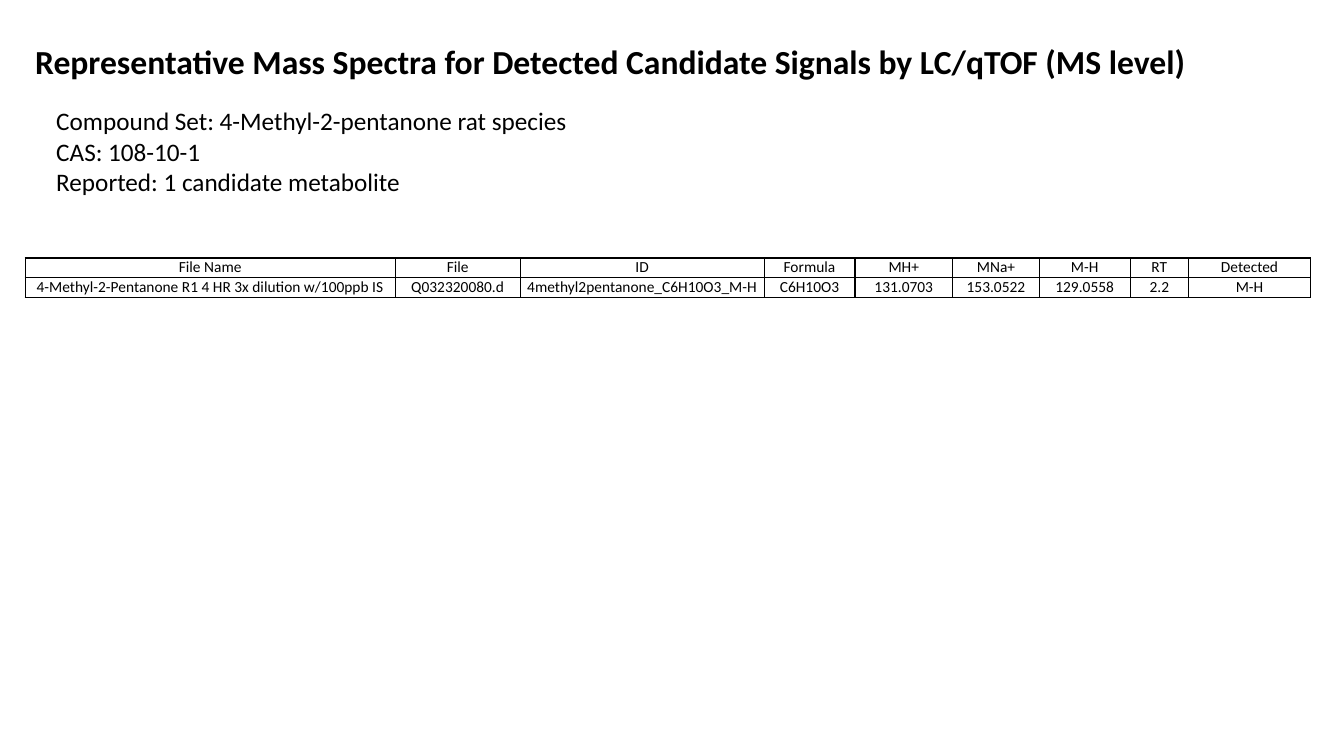
from lxml.etree import SubElement
from pptx import Presentation
from pptx.dml.color import RGBColor
from pptx.enum.text import MSO_ANCHOR, PP_ALIGN
from pptx.oxml.ns import qn
from pptx.util import Inches, Pt

BLACK = RGBColor(0, 0, 0)
WHITE = RGBColor(255, 255, 255)

HEADING = {"name": "Calibri", "size": Pt(24), "bold": True}
BODY = {"name": "Calibri", "size": Pt(18), "bold": False}
CELL = {"name": "Calibri", "size": Pt(11), "bold": False}

HEADER_LAYOUT = {"vertical_anchor": MSO_ANCHOR.MIDDLE, "margin_left": 0,
                 "margin_right": 0, "margin_top": 0, "margin_bottom": 0}
VALUE_LAYOUT = {"vertical_anchor": MSO_ANCHOR.BOTTOM, "margin_left": Inches(0.01),
                "margin_right": Inches(0.01), "margin_top": Inches(0.01),
                "margin_bottom": 0}

# Column heading, detected value, width
COLUMNS = [
    ("File Name", "4-Methyl-2-Pentanone R1 4 HR 3x dilution w/100ppb IS", 3.67),
    ("File", "Q032320080.d", 1.24),
    ("ID", "4methyl2pentanone_C6H10O3_M-H", 2.42),
    ("Formula", "C6H10O3", 0.9),
    ("MH+", "131.0703", 0.97),
    ("MNa+", "153.0522", 0.86),
    ("M-H", "129.0558", 0.9),
    ("RT", "2.2", 0.58),
    ("Detected", "M-H", 1.21),
]
ROW_HEIGHT = 0.19


def apply_format(target, values):
    for attribute, value in values.items():
        setattr(target, attribute, value)


def write_paragraph(paragraph, wording, font_format):
    run = paragraph.add_run()
    run.text = wording
    apply_format(run.font, font_format)
    run.font.color.rgb = BLACK


def add_text(slide, box, lines, font_format):
    frame = slide.shapes.add_textbox(*map(Inches, box)).text_frame
    frame.word_wrap = True
    for index, line in enumerate(lines):
        paragraph = frame.add_paragraph() if index else frame.paragraphs[0]
        write_paragraph(paragraph, line, font_format)


def add_borders(cell):
    properties = cell._tc.get_or_add_tcPr()
    for position, side in enumerate(("lnL", "lnR", "lnT", "lnB")):
        border = SubElement(properties, qn(f"a:{side}"), w=str(Pt(1)))
        fill = SubElement(border, qn("a:solidFill"))
        SubElement(fill, qn("a:srgbClr"), val=str(BLACK))
        properties.insert(position, border)


def add_signal_table(slide, left, top):
    width = sum(column[2] for column in COLUMNS)
    signals = slide.shapes.add_table(2, len(COLUMNS), Inches(left), Inches(top),
                                     Inches(width), Inches(2 * ROW_HEIGHT)).table
    apply_format(signals, {"first_row": False, "horz_banding": False})
    for row in signals.rows:
        row.height = Inches(ROW_HEIGHT)
    for index, (heading, value, column_width) in enumerate(COLUMNS):
        signals.columns[index].width = Inches(column_width)
        value_layout = HEADER_LAYOUT if heading == "Detected" else VALUE_LAYOUT
        entries = ((heading, HEADER_LAYOUT), (value, value_layout))
        for row_index, (wording, layout) in enumerate(entries):
            cell = signals.cell(row_index, index)
            apply_format(cell, layout)
            cell.fill.background()
            add_borders(cell)
            paragraph = cell.text_frame.paragraphs[0]
            paragraph.alignment = PP_ALIGN.CENTER
            write_paragraph(paragraph, wording, CELL)


def main():
    presentation = Presentation()
    presentation.slide_width = Inches(13.33)
    presentation.slide_height = Inches(7.5)
    slide = presentation.slides.add_slide(presentation.slide_layouts[6])
    slide.background.fill.solid()
    slide.background.fill.fore_color.rgb = WHITE

    # Table of detected signals
    add_signal_table(slide, 0.25, 2.56)

    # Compound summary
    add_text(slide, (0.46, 1, 7.44, 1.31), [
        "Compound Set: 4-Methyl-2-pentanone rat species",
        "CAS: 108-10-1",
        "Reported: 1 candidate metabolite",
    ], BODY)

    # Heading
    add_text(slide, (0.25, 0.36, 12.75, 0.5), [
        "Representative Mass Spectra for Detected Candidate Signals by LC/qTOF (MS level)",
    ], HEADING)

    presentation.save("out.pptx")


if __name__ == "__main__":
    main()
